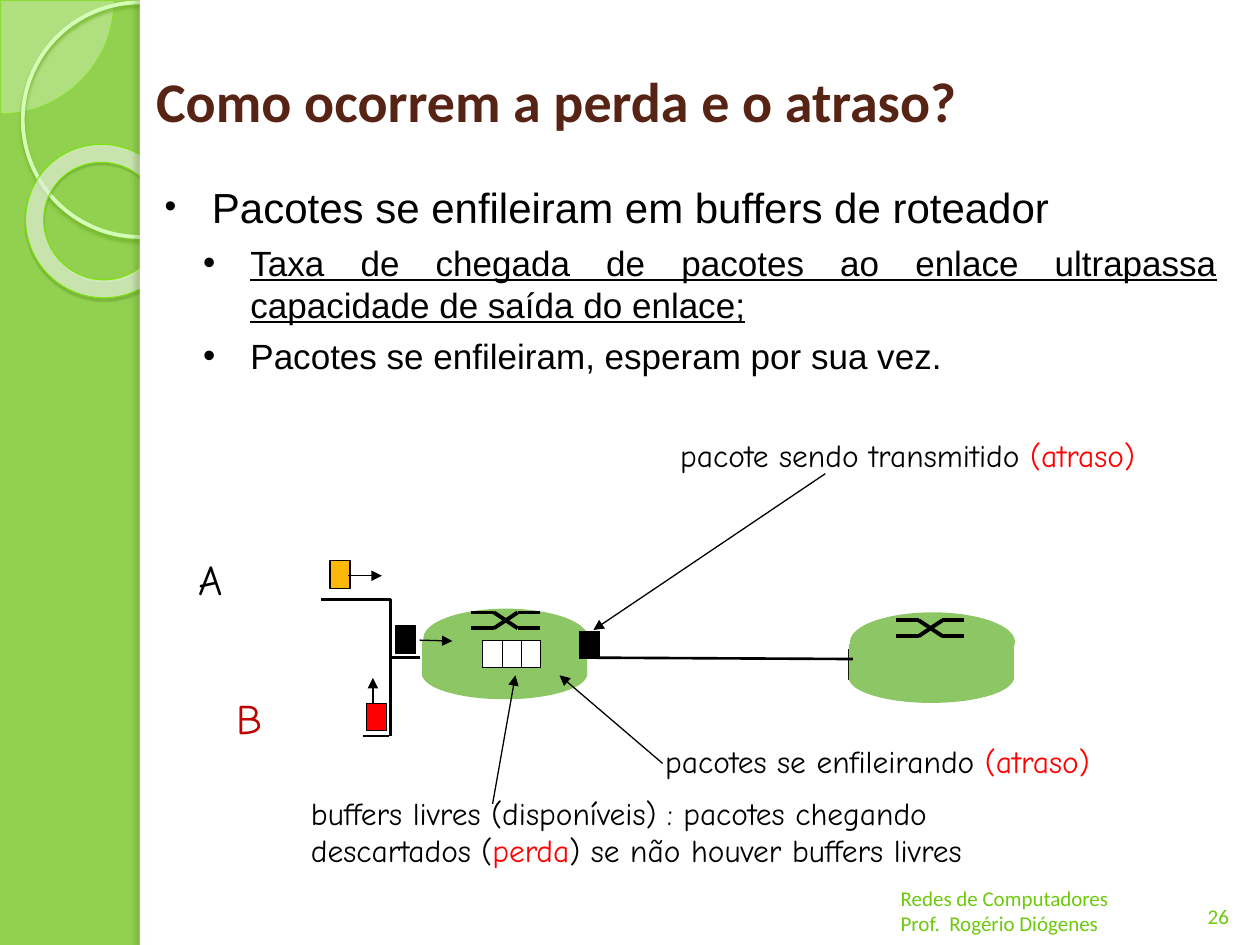
from dataclasses import dataclass

from pptx import Presentation
from pptx.dml.color import RGBColor
from pptx.enum.shapes import MSO_CONNECTOR, MSO_SHAPE
from pptx.enum.text import MSO_ANCHOR, PP_ALIGN
from pptx.oxml.ns import qn
from pptx.oxml.xmlchemy import OxmlElement
from pptx.util import Pt

RECTANGLE, ELLIPSE = MSO_SHAPE.RECTANGLE, MSO_SHAPE.OVAL
PIE, DONUT = MSO_SHAPE.PIE, MSO_SHAPE.DONUT
STRAIGHT = MSO_CONNECTOR.STRAIGHT
LEFT, CENTER, JUSTIFY = PP_ALIGN.LEFT, PP_ALIGN.CENTER, PP_ALIGN.JUSTIFY
TOP, MIDDLE, BOTTOM = MSO_ANCHOR.TOP, MSO_ANCHOR.MIDDLE, MSO_ANCHOR.BOTTOM


@dataclass(frozen=True)
class Theme:
    black: str = "000000"
    white: str = "FFFFFF"
    red: str = "FF0000"
    dark_red: str = "C00000"
    orange: str = "FEB80A"
    background: str = "92D050"
    router: str = "8DC765"
    title: str = "572314"
    footer: str = "6DC90C"
    heading_font: str = "Calibri"
    body_font: str = "Arial"
    label_font: str = "Comic Neue"
    title_size: int = 32
    large_size: int = 24
    medium_size: int = 20
    label_size: int = 18
    footer_size: int = 12


THEME = Theme()


def add_child(parent, tag, **attributes):
    child = OxmlElement(tag)
    for name, value in attributes.items():
        child.set(name, str(value))
    parent.append(child)
    return child


def style_font(font, name, size, color, bold=False):
    font.name, font.size, font.bold = name, Pt(size), bold
    font.color.rgb = RGBColor.from_string(color)


def add_figure(slide, kind, box, fill=None, line=None, width=0.75, alpha=None):
    shape = slide.shapes.add_shape(kind, *map(Pt, box))
    shape.shadow.inherit = False
    if fill:
        shape.fill.solid()
        shape.fill.fore_color.rgb = RGBColor.from_string(fill)
        if alpha:
            color = shape._element.spPr.find(".//" + qn("a:srgbClr"))
            add_child(color, "a:alpha", val=alpha * 1000)
    else:
        shape.fill.background()
    if line:
        shape.line.color.rgb = RGBColor.from_string(line)
        shape.line.width = Pt(width)
    else:
        shape.line.fill.background()
    return shape


def add_shadow(shape, color, alpha, blur, distance, angle):
    effects = shape._element.spPr.find(qn("a:effectLst"))
    shadow = add_child(effects, "a:outerShdw", blurRad=Pt(blur), dist=Pt(distance),
                       dir=angle * 60000, algn="tl", rotWithShape=0)
    add_child(add_child(shadow, "a:srgbClr", val=color), "a:alpha", val=alpha * 1000)


def add_line(slide, start, end, width=1.5, arrow=False):
    connector = slide.shapes.add_connector(STRAIGHT, *map(Pt, (*start, *end)))
    connector.line.color.rgb = RGBColor.from_string(THEME.black)
    connector.line.width = Pt(width)
    properties = connector._element.spPr
    if arrow:
        add_child(properties.find(qn("a:ln")), "a:tailEnd", type="triangle")
    add_child(properties, "a:effectLst")


def add_arrow(slide, start, end):
    add_line(slide, start, end, 0.75, arrow=True)


def add_text_frame(slide, box, anchor=TOP, wrap=True):
    frame = slide.shapes.add_textbox(*map(Pt, box)).text_frame
    frame.word_wrap, frame.vertical_anchor = wrap, anchor
    return frame


def add_label(slide, box, lines, size=THEME.label_size):
    """Each line is a list of (text, color) pieces."""
    paragraph = add_text_frame(slide, box, wrap=False).paragraphs[0]
    for index, pieces in enumerate(lines):
        if index:
            paragraph.add_line_break()
        for text, color in pieces:
            run = paragraph.add_run()
            run.text = text
            style_font(run.font, THEME.label_font, size, color)


def add_footer(slide, box, lines, alignment=LEFT):
    frame = add_text_frame(slide, box, BOTTOM)
    frame.text = "\n".join(lines)
    for paragraph in frame.paragraphs:
        paragraph.alignment = alignment
        style_font(paragraph.font, THEME.heading_font, THEME.footer_size, THEME.footer)


def add_bullets(slide, box, items):
    frame = add_text_frame(slide, box)
    for index, (text, size, margin, bullet_size, underline) in enumerate(items):
        paragraph = frame.add_paragraph() if index else frame.paragraphs[0]
        paragraph.text = text
        paragraph.alignment = JUSTIFY
        properties = paragraph._p.get_or_add_pPr()
        properties.set("marL", str(Pt(margin)))
        properties.set("indent", str(Pt(-27)))
        add_child(properties, "a:buSzPct", val=bullet_size * 1000)
        add_child(properties, "a:buFont", typeface=THEME.body_font)
        add_child(properties, "a:buChar", char="•")
        if index:
            paragraph.space_before = Pt(5.5)
        style_font(paragraph.font, THEME.body_font, size, THEME.black)
        paragraph.font.underline = underline


def add_title(slide, text):
    title = slide.shapes.title
    title.left, title.top, title.width, title.height = map(Pt, (82, 12.2, 626.4, 90))
    title.text_frame.text = text
    title.text_frame.vertical_anchor = MIDDLE
    paragraph = title.text_frame.paragraphs[0]
    paragraph.alignment = LEFT
    style_font(paragraph.font, THEME.heading_font, THEME.title_size, THEME.title, True)


def add_side_decoration(slide):
    quarter = add_figure(slide, PIE, (-64, -64, 129, 129), "EEFFE4", "7FE90E", 0.25, 33)
    quarter.adjustments[0], quarter.adjustments[1] = 0, 54.02
    ring = add_figure(slide, ELLIPSE, (13, 1.4, 134, 134), line="D3FFB6", width=2.15)
    add_shadow(ring, "6DB224", 85, 2, 2, 90)
    donut = add_figure(slide, DONUT, (14.4, 82.8, 88.6, 87.1), "F8FFF5", "77E403", 0.58, 62)
    donut.adjustments[0] = 0.118
    donut.rotation = 38.6
    add_shadow(donut, "366406", 35, 1, 1.2, 75)
    add_figure(slide, RECTANGLE, (80, 0, 640, 540), THEME.white)
    edge = add_figure(slide, RECTANGLE, (80, 0, 5.8, 540), THEME.white)
    add_shadow(edge, "496A25", 25, 3, 3, 180)


def add_router(slide, x, y, cross_x, cross_y):
    add_figure(slide, ELLIPSE, (x, y + 23, 94.3, 28.8), THEME.router)
    add_figure(slide, RECTANGLE, (x, y + 18, 94.3, 20.9), THEME.router)
    add_figure(slide, ELLIPSE, (x + 0.7, y, 94.3, 33.8), THEME.router)
    # Crossed switching symbol: two mirrored paths
    for first, last in ((0, 9), (9, 0)):
        points = [(cross_x + dx, cross_y + dy)
                  for dx, dy in ((0, first), (13, first), (26.5, last), (39, last))]
        for start, end in zip(points, points[1:]):
            add_line(slide, start, end, 2.25)


def add_packet(slide, x, y, color):
    add_figure(slide, RECTANGLE, (x, y, 11.5, 15.8), color, THEME.black)


def add_network(slide):
    # Routers and links
    add_router(slide, 241.2, 347.8, 269.3, 350)
    add_line(slide, (485.3, 370.8), (485.3, 388.8), 1)
    add_router(slide, 485, 349.9, 512, 354.5)
    for start, end in (((183.6, 342.7), (223.2, 342.7)), ((207.4, 420.5), (222.5, 420.5)),
                       ((334.8, 375.8), (487.4, 376.6)), ((223.2, 342), (223.2, 420.5)),
                       ((223.9, 375.8), (239.8, 375.8))):
        add_line(slide, start, end)
    # Packets and free buffers
    for x, y, color in ((226.1, 357.8, THEME.black), (331.2, 360.7, THEME.black),
                        (188.6, 320.4, THEME.orange), (209.5, 401.8, THEME.red)):
        add_packet(slide, x, y, color)
    for slot in (2, 1, 0):
        add_packet(slide, 275.8 + 10.8 * slot, 365.8, THEME.white)
    # Packet movement, then pointers from the labels
    for start, end in (((239.8, 365.8), (258.5, 366.3)), ((213.1, 401.8), (213.1, 387.4)),
                       ((198.7, 329), (218.2, 329)), ((471.6, 270.7), (339.1, 360)),
                       ((378.7, 436.3), (319.7, 385.9)), ((281.5, 459.4), (294.5, 385.9))):
        add_arrow(slide, start, end)


def add_labels(slide):
    black, red = THEME.black, THEME.red
    add_label(slide, (106.6, 312.5, 31.7, 36), [[("A", black)]], THEME.large_size)
    add_label(slide, (128.2, 392.4, 29.5, 36), [[("B", THEME.dark_red)]], THEME.large_size)
    add_label(slide, (381.6, 245.5, 298.8, 28.8),
              [[("pacote sendo transmitido ", black), ("(atraso)", red)]])
    add_label(slide, (373, 420.5, 281.5, 28.8),
              [[("pacotes se enfileirando", black), (" (atraso)", red)]])
    add_label(slide, (170.6, 450, 425.5, 50.4),
              [[("buffers livres (disponíveis) : pacotes chegando", black)],
               [("descartados (", black), ("perda", red),
                (") se não houver buffers livres", black)]])


def main():
    presentation = Presentation()
    presentation.slide_width, presentation.slide_height = Pt(720), Pt(540)
    slide = presentation.slides.add_slide(presentation.slide_layouts[5])
    slide.background.fill.solid()
    slide.background.fill.fore_color.rgb = RGBColor.from_string(THEME.background)
    add_side_decoration(slide)
    # Move the title in front of the white panel
    slide.shapes._spTree.append(slide.shapes.title._element)
    add_title(slide, "Como ocorrem a perda e o atraso?")
    add_bullets(slide, (87, 100, 615.6, 391.7), (
        ("Pacotes se enfileiram em buffers de roteador", THEME.large_size, 27, 80, False),
        ("Taxa de chegada de pacotes ao enlace ultrapassa capacidade de saída do enlace;",
         THEME.medium_size, 49, 100, True),
        ("Pacotes se enfileiram, esperam por sua vez.", THEME.medium_size, 49, 100, False)))
    add_footer(slide, (678.2, 496.8, 36, 37.4), ["26"], CENTER)
    add_footer(slide, (507.6, 501, 198.7, 37.4),
               ["Redes de Computadores", "Prof.  Rogério Diógenes"])
    add_network(slide)
    add_labels(slide)
    presentation.save("out.pptx")


if __name__ == "__main__":
    main()
